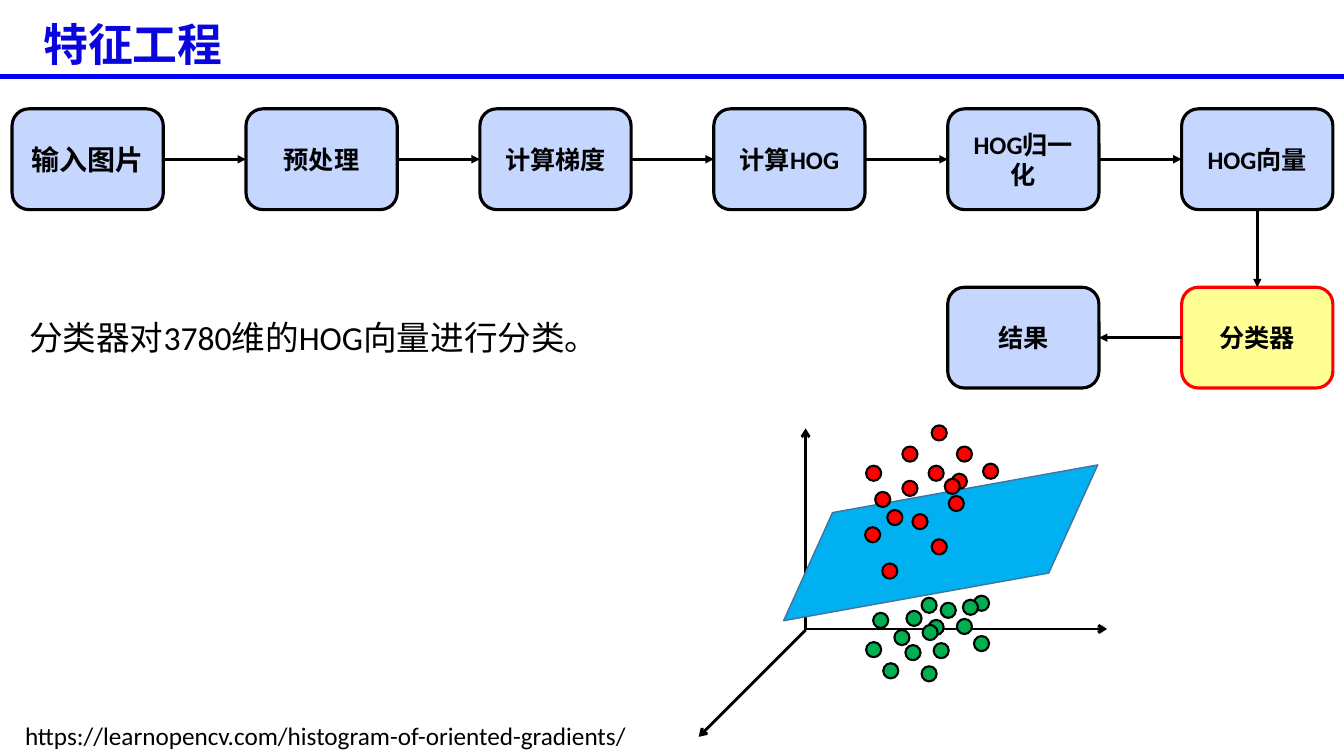
from dataclasses import dataclass

from lxml import etree
from pptx import Presentation
from pptx.dml.color import RGBColor
from pptx.enum.shapes import MSO_CONNECTOR, MSO_SHAPE
from pptx.enum.text import MSO_ANCHOR, MSO_AUTO_SIZE, PP_ALIGN
from pptx.oxml.ns import qn
from pptx.util import Pt

ROUNDED = MSO_SHAPE.ROUNDED_RECTANGLE
DOT = MSO_SHAPE.FLOWCHART_CONNECTOR
PLANE = MSO_SHAPE.FLOWCHART_DATA
STRAIGHT = MSO_CONNECTOR.STRAIGHT
TOP, MIDDLE = MSO_ANCHOR.TOP, MSO_ANCHOR.MIDDLE
LEFT, CENTER = PP_ALIGN.LEFT, PP_ALIGN.CENTER
NO_AUTOFIT = MSO_AUTO_SIZE.NONE
LEFT_SITE, BOTTOM_SITE, RIGHT_SITE, TOP_SITE = 1, 2, 3, 0
EMU_PER_PX = 9144


@dataclass(frozen=True)
class Theme:
    """Colours, type sizes and line widths of the slide."""
    font: str = "Calibri"
    black: str = "000000"
    title: str = "0A05DF"
    rule: str = "0000FF"
    step: str = "C6D7FF"
    highlight: str = "FFFF94"
    red: str = "FF0000"
    green: str = "00B050"
    plane: str = "00B0F0"
    plane_edge: str = "43739E"
    title_size: int = 32
    body_size: int = 24
    first_step_size: int = 20
    small_size: int = 18
    rule_width: float = 4
    box_width: float = 2.25
    arrow_width: float = 2
    dot_width: float = 1.5
    plane_width: float = 1


THEME = Theme()
BOX_WIDTH, BOX_HEIGHT = 150, 100
BOX_LEFT, BOX_PITCH = 12, 232
UPPER_ROW, LOWER_ROW = 108, 285
DOT_SIZE = 15
STEPS = ["输入图片", "预处理", "计算梯度", "计算HOG", "HOG归一化", "HOG向量"]
AXES = [
    ((799, 625), (799, 425)),
    ((798, 624), (1098, 624)),
    ((799, 625), (693, 731)),
]
RED_DOTS = [
    (859, 462), (858, 523), (895, 443), (949, 443), (924, 535), (895, 477),
    (941, 492), (924, 422), (921, 462), (868, 488), (905, 510), (880, 506),
    (975, 460), (944, 470), (875, 559), (937, 475),
]
GREEN_DOTS = [
    (933, 598), (949, 614), (966, 631), (887, 625), (966, 591), (914, 661),
    (876, 658), (866, 608), (926, 638), (898, 640), (899, 606), (859, 637),
    (921, 615), (914, 593), (955, 595), (915, 620),
]


def px(value):
    """Turn px into EMU."""
    return value * EMU_PER_PX


def place(shape, left, top, width, height):
    """Set the position and size of a shape."""
    shape.left, shape.top = px(left), px(top)
    shape.width, shape.height = px(width), px(height)


def write(shape, text, size, color=THEME.black, bold=False, align=LEFT, anchor=TOP, wrap=True):
    """Write one formatted run into a shape."""
    frame = shape.text_frame
    frame.word_wrap = wrap
    frame.auto_size = NO_AUTOFIT
    frame.vertical_anchor = anchor
    paragraph = frame.paragraphs[0]
    paragraph.alignment = align
    run = paragraph.add_run()
    run.text = text
    run.font.name = THEME.font
    run.font.size = Pt(size)
    run.font.bold = bold
    run.font.color.rgb = RGBColor.from_string(color)


def add_text(slide, text, box, size, wrap=True):
    """Add a text box."""
    shape = slide.shapes.add_textbox(*map(px, box))
    write(shape, text, size, wrap=wrap)


def add_filled(slide, preset, box, fill, line, width):
    """Add a preset shape with a fill and an outline."""
    shape = slide.shapes.add_shape(preset, *map(px, box))
    shape.shadow.inherit = False
    shape.fill.solid()
    shape.fill.fore_color.rgb = RGBColor.from_string(fill)
    shape.line.color.rgb = RGBColor.from_string(line)
    shape.line.width = Pt(width)
    return shape


def add_line(slide, start, end, color=THEME.black, width=THEME.arrow_width, head=None):
    """Add a straight line, with an arrowhead at its end if one is named."""
    line = slide.shapes.add_connector(STRAIGHT, *map(px, start + end))
    line.line.color.rgb = RGBColor.from_string(color)
    line.line.width = Pt(width)
    properties = line._element.spPr
    if head:
        etree.SubElement(properties.find(qn("a:ln")), qn("a:tailEnd"), type=head)
    etree.SubElement(properties, qn("a:effectLst"))
    return line


def add_step(slide, column, top, text, size=THEME.small_size, fill=THEME.step, line=THEME.black):
    """Add one labelled box of the flow."""
    box = (BOX_LEFT + column * BOX_PITCH, top, BOX_WIDTH, BOX_HEIGHT)
    shape = add_filled(slide, ROUNDED, box, fill, line, THEME.box_width)
    write(shape, text, size, bold=True, align=CENTER, anchor=MIDDLE)
    return shape


def link(slide, source, source_site, target, target_site):
    """Join two boxes with an arrow."""
    arrow = add_line(slide, (0, 0), (0, 0), head="triangle")
    arrow.begin_connect(source, source_site)
    arrow.end_connect(target, target_site)


def add_flow(slide):
    """Add the boxes of the pipeline and their arrows."""
    boxes = [
        add_step(slide, column, UPPER_ROW, text,
                 THEME.small_size if column else THEME.first_step_size)
        for column, text in enumerate(STEPS)
    ]
    last = len(STEPS) - 1
    classifier = add_step(slide, last, LOWER_ROW, "分类器",
                          fill=THEME.highlight, line=THEME.red)
    result = add_step(slide, last - 1, LOWER_ROW, "结果")
    for source, target in zip(boxes, boxes[1:]):
        link(slide, source, RIGHT_SITE, target, LEFT_SITE)
    link(slide, boxes[-1], BOTTOM_SITE, classifier, TOP_SITE)
    link(slide, classifier, LEFT_SITE, result, RIGHT_SITE)


def add_scatter(slide):
    """Add the axes, the separating plane and the two classes of dots."""
    for start, end in AXES:
        add_line(slide, start, end, head="arrow")
    plane = add_filled(slide, PLANE, (766, 490, 334, 97), THEME.plane,
                       THEME.plane_edge, THEME.plane_width)
    plane.rotation = 349.8
    for color, dots in ((THEME.red, RED_DOTS), (THEME.green, GREEN_DOTS)):
        for left, top in dots:
            add_filled(slide, DOT, (left, top, DOT_SIZE, DOT_SIZE), color,
                       THEME.black, THEME.dot_width)


def main():
    """Build and save the slide."""
    presentation = Presentation()
    presentation.slide_width, presentation.slide_height = px(1333), px(750)
    slide = presentation.slides.add_slide(presentation.slide_layouts[5])
    title = slide.shapes.title
    place(title, 33, 12, 833, 64)
    write(title, "特征工程", THEME.title_size, THEME.title, bold=True)
    add_line(slide, (0, 76), (1333, 76), THEME.rule, THEME.rule_width)
    add_text(slide, "分类器对3780维的HOG向量进行分类。", (19, 309, 694, 50), THEME.body_size)
    add_text(slide, "https://learnopencv.com/histogram-of-oriented-gradients/",
             (15, 710, 624, 40), THEME.small_size, wrap=False)
    add_scatter(slide)
    add_flow(slide)
    presentation.save("out.pptx")


if __name__ == "__main__":
    main()
